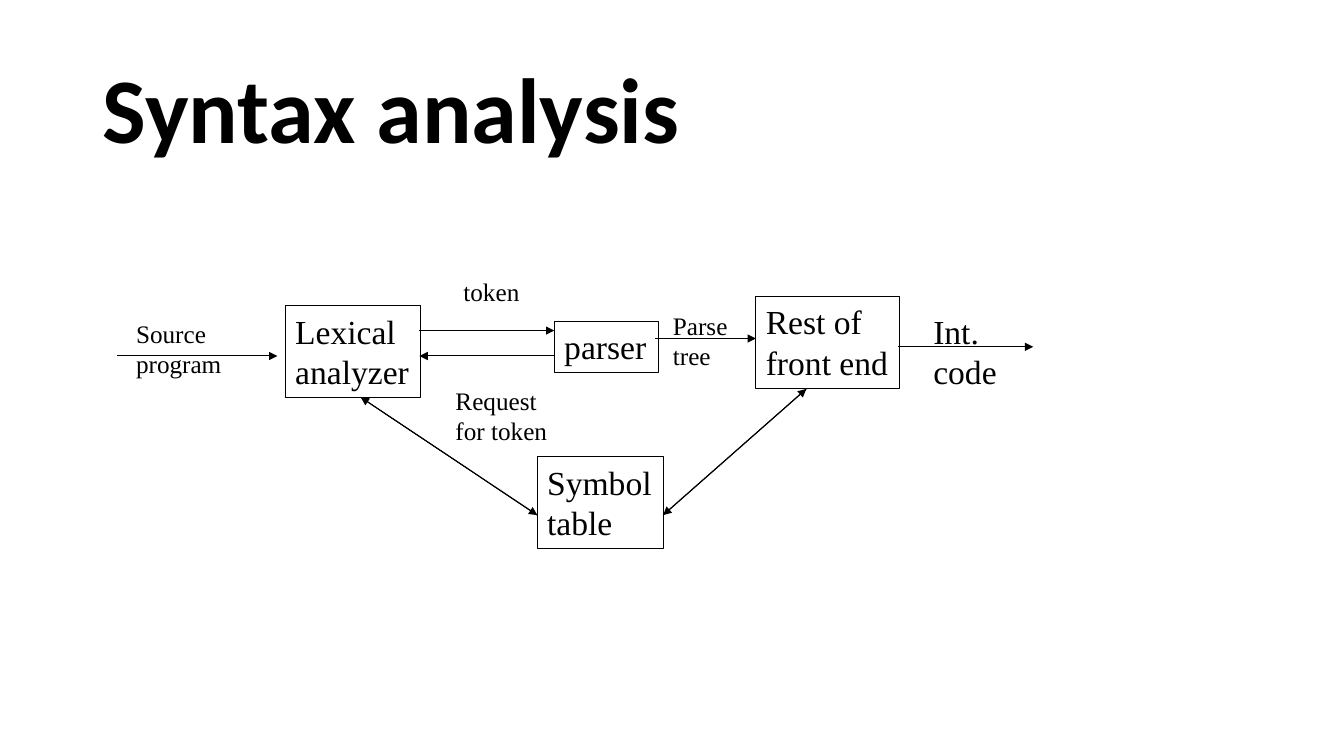
"""Build the syntax analysis slide with its compiler front-end diagram."""
import pptx
import pptx.dml.color
import pptx.enum.shapes
import pptx.enum.text
import pptx.oxml
import pptx.oxml.ns
import pptx.util
from pptx.util import Cm


def color(value):
    return pptx.dml.color.RGBColor.from_string(value)


def format_text(tf, font, size, bold=False):
    for p in tf.paragraphs:
        for r in p.runs:
            r.font.name = font
            r.font.size = pptx.util.Pt(size)
            r.font.bold = bold
            r.font.color.rgb = color("000000")


prs = pptx.Presentation()
prs.slide_width, prs.slide_height = Cm(33.87), Cm(19.05)
s = prs.slides.add_slide(prs.slide_layouts[5])

title = s.shapes.title
title.left, title.top, title.width, title.height = Cm(2.34), Cm(1.02), Cm(29.21), Cm(3.68)
tf = title.text_frame
tf.text = "Syntax analysis"
tf.vertical_anchor = pptx.enum.text.MSO_ANCHOR.MIDDLE
tf.paragraphs[0].alignment = pptx.enum.text.PP_ALIGN.LEFT
tf.paragraphs[0].line_spacing = 0.9
format_text(tf, "Calibri", 66, True)

blocks = [
    ("Source\nprogram", 18, False, 3.18, 7.9, 2.67, 1.78),
    ("Lexical\nanalyzer", 24, True, 7.19, 7.7, 3.4, 2.31),
    ("token", 18, False, 11.43, 6.83, 1.93, 1.02),
    ("Request\nfor token", 18, False, 11.23, 9.58, 2.82, 1.78),
    ("parser", 24, True, 13.97, 8.1, 2.62, 1.3),
    ("Rest of\nfront end", 24, True, 19.05, 7.47, 3.61, 2.31),
    ("Symbol\ntable", 24, True, 13.54, 11.51, 3.18, 2.31),
    ("Int.\ncode", 24, False, 23.27, 7.7, 2.13, 2.31),
    ("Parse\ntree", 18, False, 16.71, 7.7, 1.88, 1.78),
]
for text, size, boxed, *place in blocks:
    place = [Cm(v) for v in place]
    if boxed:
        sp = s.shapes.add_shape(pptx.enum.shapes.MSO_SHAPE.RECTANGLE, *place)
        sp.shadow.inherit = False
        sp.fill.background()
        sp.line.color.rgb = color("000000")
        sp.line.width = pptx.util.Pt(0.75)
    else:
        sp = s.shapes.add_textbox(*place)
    tf = sp.text_frame
    tf.text = text
    tf.word_wrap = False
    tf.auto_size = pptx.enum.text.MSO_AUTO_SIZE.SHAPE_TO_FIT_TEXT
    tf.vertical_anchor = pptx.enum.text.MSO_ANCHOR.TOP
    for p in tf.paragraphs:
        p.alignment = pptx.enum.text.PP_ALIGN.LEFT
    format_text(tf, "Times New Roman", size)

arrows = [
    (2.95, 8.97, 6.99, 8.97),
    (10.57, 8.33, 13.97, 8.33),
    (13.97, 8.97, 10.57, 8.97),
    (16.51, 8.53, 19.05, 8.53),
    (22.63, 8.74, 26.04, 8.74),
]
for x1, y1, x2, y2 in [(9.09, 10.01, 13.54, 12.98), (16.71, 12.98, 20.32, 9.8)]:
    arrows += [(x1, y1, x2, y2), (x2, y2, x1, y1)]
for ends in arrows:
    line = s.shapes.add_connector(
        pptx.enum.shapes.MSO_CONNECTOR.STRAIGHT, *[Cm(v) for v in ends])
    line.line.color.rgb = color("000000")
    line.line.width = pptx.util.Pt(0.75)
    tail = pptx.oxml.parse_xml(
        f'<a:tailEnd {pptx.oxml.ns.nsdecls("a")} type="triangle"/>')
    line.line._get_or_add_ln().append(tail)
    effects = pptx.oxml.parse_xml(f'<a:effectLst {pptx.oxml.ns.nsdecls("a")}/>')
    line._element.spPr.append(effects)

prs.save("out.pptx")
